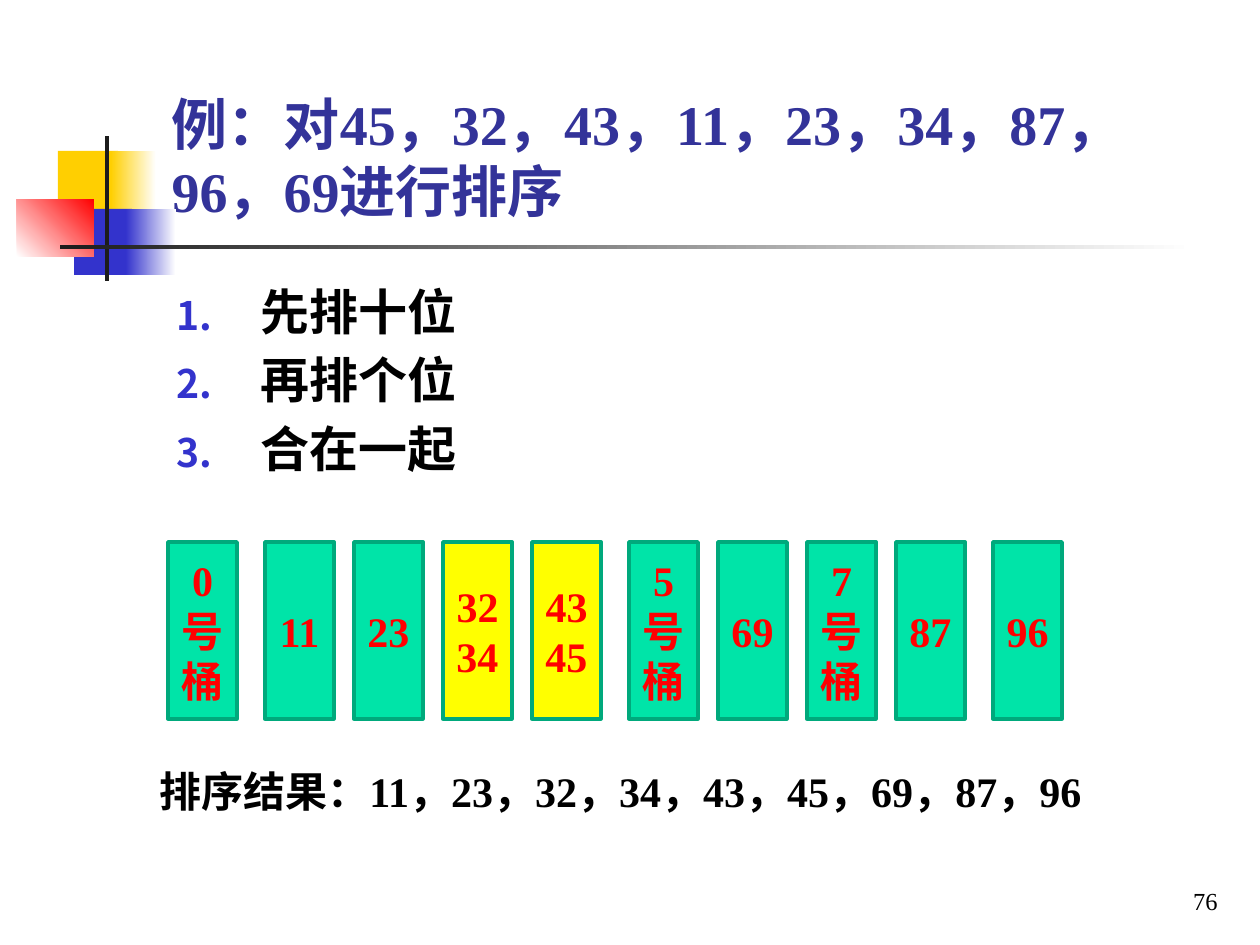
"""Build the bucket sort example slide."""
import pptx
import pptx.dml.color
import pptx.enum.lang
import pptx.enum.shapes
import pptx.enum.text
import pptx.util
from lxml import etree

EMU_PER_PX = 914400 / 126
ANCHOR = pptx.enum.text.MSO_ANCHOR
ALIGN = pptx.enum.text.PP_ALIGN

THEME = {
    "font": "Times New Roman",
    "title": "333399", "text": "000000", "bucket_text": "FF0000",
    "bucket": "00E4A8", "shared_bucket": "FFFF00", "bucket_line": "00A97C",
    "yellow": "FFCF01", "blue": "3333CC", "red": "FF0000",
    "dark": "1C1C1C", "white": "FFFFFF",
    "title_size": 32, "step_size": 28, "body_size": 24, "number_size": 14,
}

TITLE = "例：对45，32，43，11，23，34，87，96，69进行排序"
STEPS = ["先排十位", "再排个位", "合在一起"]
BUCKET_GROUPS = [
    ["0号桶"],
    ["11", "23", "3234", "4345"],
    ["5号桶", "69", "7号桶", "87"],
    ["96"],
]
SHARED_BUCKETS = {"3234", "4345"}
RESULT = "排序结果：11，23，32，34，43，45，69，87，96"
SLIDE_NUMBER = "76"

DECORATIONS = [
    ((58, 151, 60, 66), ["yellow"], 0),
    ((111, 151, 45, 66), ["yellow", "white"], 0),
    ((74, 209, 58, 66), ["blue"], 0),
    ((126, 209, 50, 66), ["blue", "white"], 0),
    ((17, 199, 77, 58), ["white", "red"], 45),
    ((105, 136, 4, 145), ["dark"], 0),
    ((60, 245, 1134, 4), ["dark", "white"], 0),
]
TITLE_BOX = (159, 98, 1074, 132)
STEPS_BOX = (164, 275, 1071, 567)
RESULT_BOX = (147, 759, 1004, 64)
NUMBER_BOX = (968, 859, 262, 63)
BUCKET_LEFT, BUCKET_TOP = 168, 542
BUCKET_WIDTH, BUCKET_HEIGHT = 69, 177
BUCKET_GAP, GROUP_EXTRA_GAP = 20, 8
STEP_INDENT = 84


def px(length):
    return pptx.util.Emu(round(length * EMU_PER_PX))


def color(name):
    return pptx.dml.color.RGBColor.from_string(THEME[name])


def assign(target, values):
    for name, value in values.items():
        setattr(target, name, value)


def write(shape, lines, size, color_name, bold=True, anchor=ANCHOR.TOP,
          alignment=ALIGN.LEFT, space_before=0):
    frame = shape.text_frame
    assign(frame, {"text": "\n".join(lines), "word_wrap": True,
                   "auto_size": pptx.enum.text.MSO_AUTO_SIZE.NONE,
                   "vertical_anchor": anchor})
    for paragraph in frame.paragraphs:
        assign(paragraph, {"alignment": alignment,
                           "space_before": pptx.util.Pt(space_before)})
        font = paragraph.runs[0].font
        assign(font, {"name": THEME["font"], "bold": bold,
                      "size": pptx.util.Pt(THEME[size]),
                      "language_id": pptx.enum.lang.MSO_LANGUAGE_ID.SIMPLIFIED_CHINESE})
        font.color.rgb = color(color_name)


def add_rectangle(slide, box, color_names, angle=0):
    shape = slide.shapes.add_shape(
        pptx.enum.shapes.MSO_SHAPE.RECTANGLE, *map(px, box))
    shape.shadow.inherit = False
    shape.line.fill.background()
    if len(color_names) == 1:
        shape.fill.solid()
        shape.fill.fore_color.rgb = color(color_names[0])
    else:
        shape.fill.gradient()
        shape.fill.gradient_angle = angle
        for stop, name in zip(shape.fill.gradient_stops, color_names):
            stop.color.rgb = color(name)
    return shape


def add_text(slide, box, lines, size, **options):
    shape = slide.shapes.add_textbox(*map(px, box))
    write(shape, lines, size, "text", **options)
    return shape


def number_paragraphs(shape):
    namespace = "{http://schemas.openxmlformats.org/drawingml/2006/main}"
    for paragraph in shape.text_frame.paragraphs:
        properties = paragraph._p.get_or_add_pPr()
        properties.set("marL", str(px(STEP_INDENT)))
        properties.set("indent", str(-px(STEP_INDENT)))
        bullet_color = etree.SubElement(properties, namespace + "buClr")
        etree.SubElement(bullet_color, namespace + "srgbClr", val=THEME["blue"])
        etree.SubElement(properties, namespace + "buSzPct", val="80000")
        etree.SubElement(properties, namespace + "buFont", typeface="+mj-ea")
        etree.SubElement(properties, namespace + "buAutoNum", type="arabicPeriod")


def add_buckets(slide):
    left = BUCKET_LEFT
    for group in BUCKET_GROUPS:
        for label in group:
            fill = "shared_bucket" if label in SHARED_BUCKETS else "bucket"
            box = (left, BUCKET_TOP, BUCKET_WIDTH, BUCKET_HEIGHT)
            bucket = add_rectangle(slide, box, [fill])
            bucket.line.color.rgb = color("bucket_line")
            bucket.line.width = pptx.util.Pt(2)
            write(bucket, [label], "body_size", "bucket_text",
                  anchor=ANCHOR.MIDDLE, alignment=ALIGN.CENTER)
            left += BUCKET_WIDTH + BUCKET_GAP
        left += GROUP_EXTRA_GAP


def main():
    presentation = pptx.Presentation()
    assign(presentation, {"slide_width": px(1260), "slide_height": px(945)})
    slide = presentation.slides.add_slide(presentation.slide_layouts[5])
    for box, color_names, angle in DECORATIONS:
        add_rectangle(slide, box, color_names, angle)

    title = slide.shapes.title
    assign(title, dict(zip(("left", "top", "width", "height"), map(px, TITLE_BOX))))
    write(title, [TITLE], "title_size", "title", anchor=ANCHOR.BOTTOM)

    steps = add_text(slide, STEPS_BOX, STEPS, "step_size",
                     space_before=THEME["step_size"] * 0.2)
    number_paragraphs(steps)
    add_buckets(slide)
    add_text(slide, RESULT_BOX, [RESULT], "body_size")
    add_text(slide, NUMBER_BOX, [SLIDE_NUMBER], "number_size", bold=False,
             anchor=ANCHOR.BOTTOM, alignment=ALIGN.RIGHT)
    presentation.save("out.pptx")


if __name__ == "__main__":
    main()
